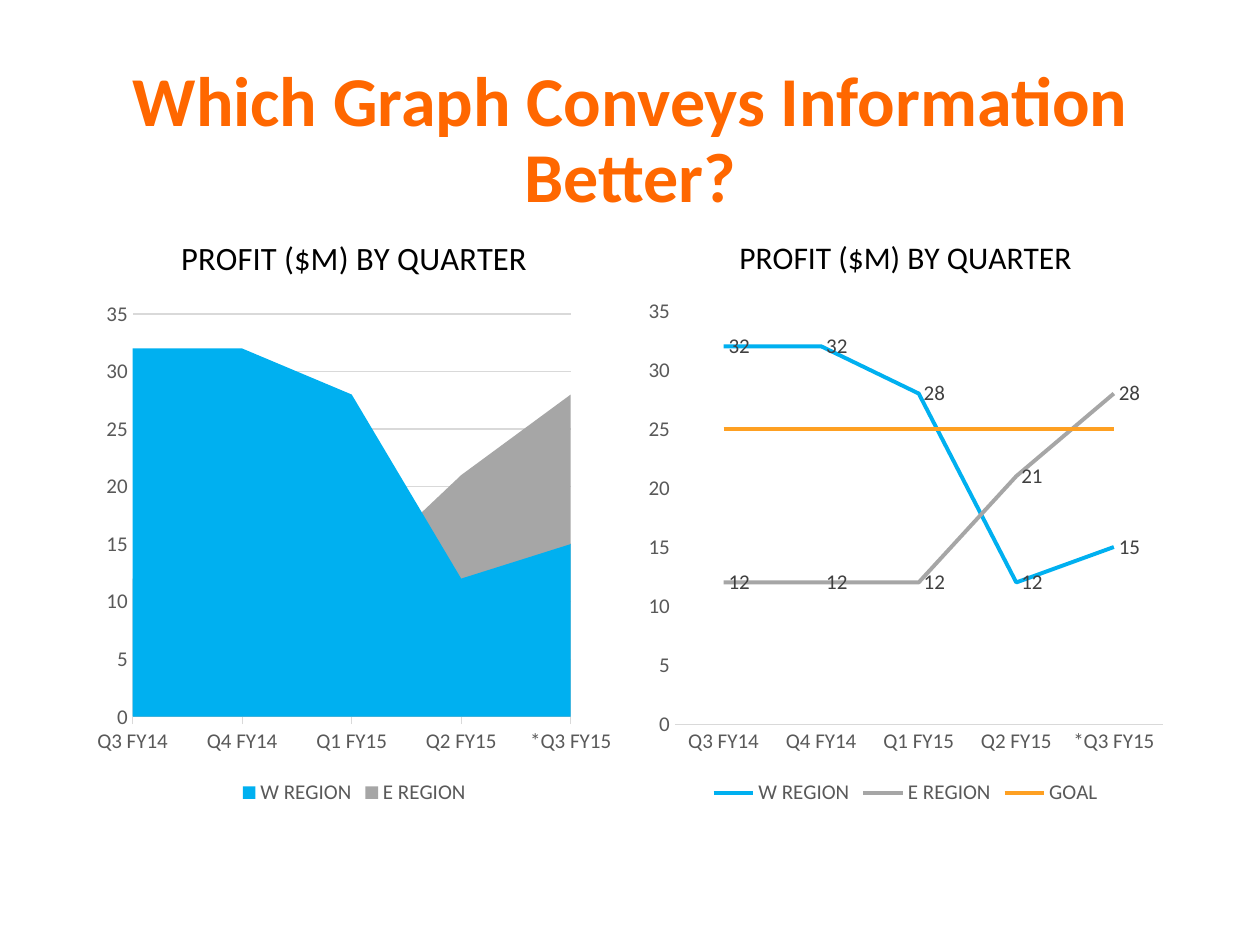
"""Build a slide that compares an area chart with a line chart of the same profits."""
from pptx import Presentation
from pptx.chart.data import CategoryChartData
from pptx.dml.color import RGBColor
from pptx.enum.chart import (XL_AXIS_CROSSES, XL_CHART_TYPE, XL_LABEL_POSITION,
                             XL_LEGEND_POSITION, XL_TICK_MARK)
from pptx.enum.text import MSO_ANCHOR, PP_ALIGN
from pptx.oxml.ns import qn
from pptx.oxml.xmlchemy import OxmlElement
from pptx.util import Pt

AREA, LINE = XL_CHART_TYPE.AREA, XL_CHART_TYPE.LINE
NO_TICK, OUTSIDE = XL_TICK_MARK.NONE, XL_TICK_MARK.OUTSIDE
RIGHT, BOTTOM = XL_LABEL_POSITION.RIGHT, XL_LEGEND_POSITION.BOTTOM
AT_START, AT_END = XL_AXIS_CROSSES.AUTOMATIC, XL_AXIS_CROSSES.MAXIMUM
CENTER, MIDDLE = PP_ALIGN.CENTER, MSO_ANCHOR.MIDDLE

FONT = "Calibri"
COLORS = {"title": "FF6700", "black": "000000", "axis": "595959", "label": "404040",
          "rule": "D9D9D9", "W REGION": "00B0F0", "E REGION": "A6A6A6", "GOAL": "FEA022"}

TITLE = "Which Graph Conveys Information Better?"
CHART_TITLE = "PROFIT ($M) BY QUARTER"
QUARTERS = ["Q3 FY14", "Q4 FY14", "Q1 FY15", "Q2 FY15", "*Q3 FY15"]
REGIONS = [("W REGION", [32, 32, 28, 12, 15]), ("E REGION", [12, 12, 12, 21, 28])]
GOAL = ("GOAL", [25] * len(QUARTERS))
CHARTS = [
    {"kind": AREA, "series": REGIONS, "title_size": 18.6, "tick": OUTSIDE,
     "crosses": AT_START, "between": "midCat"},
    {"kind": LINE, "series": REGIONS + [GOAL], "title_size": 18, "tick": NO_TICK,
     "crosses": AT_END, "between": "between"},
]

SLIDE_WIDTH, SLIDE_HEIGHT = 720, 540
MARGIN = 49.5
CHART_TOP, CHART_WIDTH, CHART_HEIGHT = 120.4, 306, 342.6


def color(name):
    return RGBColor.from_string(COLORS[name])


def style_font(font, size, color_name, bold=False):
    font.name, font.size, font.bold = FONT, Pt(size), bold
    font.color.rgb = color(color_name)


def style_line(line, color_name, width):
    line.color.rgb = color(color_name)
    line.width = Pt(width)


def add_title(slide):
    box = slide.shapes.title
    box.left, box.top = Pt(MARGIN), Pt(28.75)
    box.width, box.height = Pt(SLIDE_WIDTH - 2 * MARGIN), Pt(104.4)
    frame = box.text_frame
    frame.word_wrap, frame.vertical_anchor = True, MIDDLE
    para = frame.paragraphs[0]
    para.alignment, para.line_spacing = CENTER, 0.9
    span = para.add_run()
    span.text = TITLE
    style_font(span.font, 40, "title", True)


def set_cross_between(value_axis, mode):
    element = value_axis._element
    for present in element.findall(qn("c:crossBetween")):
        element.remove(present)
    between = OxmlElement("c:crossBetween")
    between.set("val", mode)
    element.find(qn("c:crosses")).addnext(between)


def style_axes(chart, settings):
    category, value = chart.category_axis, chart.value_axis
    for axis in (category, value):
        style_font(axis.tick_labels.font, 12, "axis")
        axis.minor_tick_mark = NO_TICK
    category.major_tick_mark, value.major_tick_mark = settings["tick"], NO_TICK
    style_line(category.format.line, "rule", 0.75)
    value.format.line.fill.background()
    category.crosses = settings["crosses"]
    set_cross_between(value, settings["between"])
    value.minimum_scale, value.maximum_scale, value.major_unit = 0, 35, 5
    value.has_major_gridlines = settings["kind"] == AREA
    if value.has_major_gridlines:
        style_line(value.major_gridlines.format.line, "rule", 0.75)


def style_series(series, kind):
    if kind == AREA:
        series.format.fill.solid()
        series.format.fill.fore_color.rgb = color(series.name)
        return
    style_line(series.format.line, series.name, 2.25)
    series.smooth = False
    if series.name != GOAL[0]:
        labels = series.data_labels
        labels.show_value, labels.position = True, RIGHT
        style_font(labels.font, 12, "label")


def add_chart(slide, left, settings):
    data = CategoryChartData()
    data.categories = QUARTERS
    for name, values in settings["series"]:
        data.add_series(name, values)
    chart = slide.shapes.add_chart(settings["kind"], Pt(left), Pt(CHART_TOP), Pt(CHART_WIDTH),
                                   Pt(CHART_HEIGHT), data).chart
    style_font(chart.font, 10, "black")
    chart.has_title = True
    chart.chart_title.include_in_layout = False
    span = chart.chart_title.text_frame.paragraphs[0].add_run()
    span.text = CHART_TITLE
    style_font(span.font, settings["title_size"], "black")
    chart.has_legend = True
    chart.legend.position, chart.legend.include_in_layout = BOTTOM, False
    style_font(chart.legend.font, 12, "axis")
    style_axes(chart, settings)
    plot = chart.plots[0]
    plot.vary_by_categories = False
    for series in plot.series:
        style_series(series, settings["kind"])


def main():
    deck = Presentation()
    deck.slide_width, deck.slide_height = Pt(SLIDE_WIDTH), Pt(SLIDE_HEIGHT)
    slide = deck.slides.add_slide(deck.slide_layouts[5])
    add_title(slide)
    step = SLIDE_WIDTH - 2 * MARGIN - CHART_WIDTH
    for index, settings in enumerate(CHARTS):
        add_chart(slide, MARGIN + index * step, settings)
    deck.save("out.pptx")


if __name__ == "__main__":
    main()
